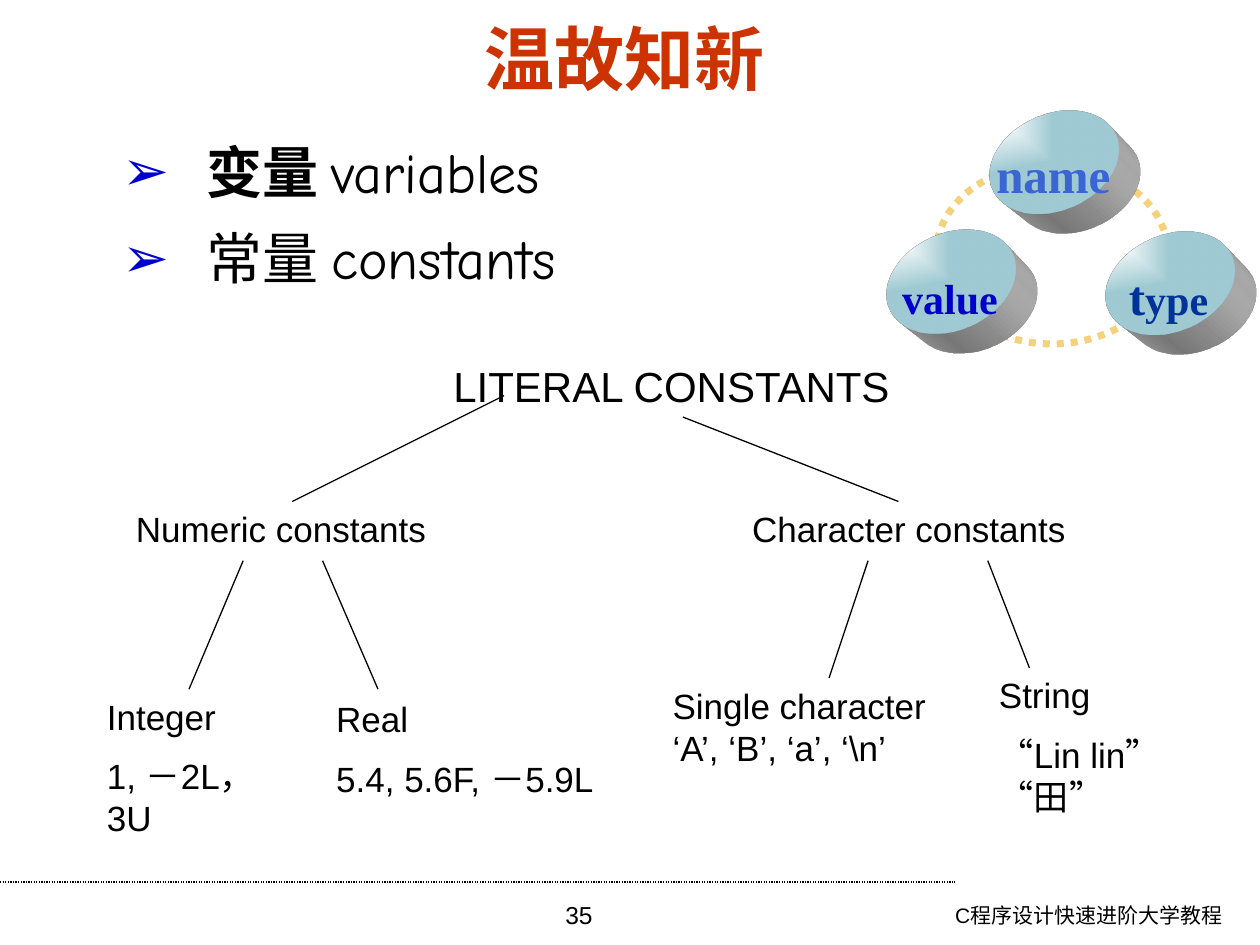
from lxml.etree import SubElement
from pptx import Presentation
from pptx.dml.color import RGBColor
from pptx.enum.dml import MSO_LINE
from pptx.enum.shapes import MSO_CONNECTOR, MSO_SHAPE
from pptx.enum.text import MSO_ANCHOR, PP_ALIGN
from pptx.oxml.ns import qn
from pptx.util import Inches, Pt

BLACK = RGBColor(0x00, 0x00, 0x00)
WHITE = RGBColor(0xFF, 0xFF, 0xFF)
TITLE_RED = RGBColor(0xCC, 0x33, 0x00)
BLUE = RGBColor(0x00, 0x00, 0xCC)
LIGHT_BLUE = RGBColor(0x3A, 0x65, 0xD3)
NAVY = RGBColor(0x00, 0x33, 0x99)
RING_YELLOW = RGBColor(0xF4, 0xD1, 0x7A)
DISC_TEAL = RGBColor(0x9F, 0xCA, 0xD3)
SIDE_GRAY = RGBColor(0xC0, 0xC0, 0xC0)


def place(shape, left, top, width, height):
    shape.left, shape.top = Inches(left), Inches(top)
    shape.width, shape.height = Inches(width), Inches(height)


def style_font(font, size, color=BLACK, bold=False, name="Arial"):
    font.size = Pt(size)
    font.color.rgb = color
    font.bold = bold
    font.name = name


def add_title(slide, text):
    title = slide.shapes.title
    place(title, 0.43, 0.21, 9.05, 0.5)
    title.text_frame.text = text
    title.text_frame.vertical_anchor = MSO_ANCHOR.MIDDLE
    paragraph = title.text_frame.paragraphs[0]
    paragraph.alignment = PP_ALIGN.CENTER
    style_font(paragraph.font, 40, TITLE_RED, bold=True)


def set_arrow_bullet(paragraph):
    properties = paragraph._p.get_or_add_pPr()
    properties.set("marL", str(Inches(0.67)))
    properties.set("indent", str(-Inches(0.67)))
    color = SubElement(properties, qn("a:buClr"))
    SubElement(color, qn("a:srgbClr"), val=str(BLUE))
    SubElement(properties, qn("a:buFont"), typeface="Arial")
    SubElement(properties, qn("a:buChar"), char="➢")


def add_bullets(slide, items):
    """Fill the body; each item is a list of (text, font name, bold) runs."""
    body = slide.placeholders[1]
    place(body, 0.87, 0.99, 4.52, 5.75)
    body.fill.solid()
    body.fill.fore_color.rgb = WHITE
    frame = body.text_frame
    for index, runs in enumerate(items):
        paragraph = frame.add_paragraph() if index else frame.paragraphs[0]
        paragraph.line_spacing = 1.1
        paragraph.space_before = Pt(7)
        set_arrow_bullet(paragraph)
        for text, name, bold in runs:
            run = paragraph.add_run()
            run.text = text
            style_font(run.font, 32, bold=bold, name=name)


def add_text(slide, box, lines, size, color=BLACK, alignment=PP_ALIGN.LEFT,
             bold=False, name="Arial", wrap=True):
    text_box = slide.shapes.add_textbox(*map(Inches, box))
    frame = text_box.text_frame
    frame.word_wrap = wrap
    frame.text = "\n".join(lines)
    for index, paragraph in enumerate(frame.paragraphs):
        paragraph.alignment = alignment
        paragraph.space_before = Pt(size / 2 if index else 0)
        style_font(paragraph.font, size, color, bold, name)
    return text_box


def add_line(slide, start, end, dash=None):
    line = slide.shapes.add_connector(
        MSO_CONNECTOR.STRAIGHT, *map(Inches, (*start, *end)))
    line.line.color.rgb = BLACK
    line.line.width = Pt(0.75)
    if dash:
        line.line.dash_style = dash
    SubElement(line._element.spPr, qn("a:effectLst"))


def fill_from_corner(shape, first, last):
    """Gradient that spreads from the top left corner."""
    shape.fill.gradient()
    for stop, color, position in zip(
            shape.fill.gradient_stops, (first, last), (0, 1)):
        stop.color.rgb = color
        stop.position = position
    gradient = shape._element.spPr.find(qn("a:gradFill"))
    gradient.remove(gradient.find(qn("a:lin")))
    corner = SubElement(gradient, qn("a:path"), path="rect")
    SubElement(corner, qn("a:fillToRect"), r="100000", b="100000")


def extrude(shape, depth, color):
    """Turn the shape in space and give it a solid side."""
    properties = shape._element.spPr
    scene = SubElement(properties, qn("a:scene3d"))
    camera = SubElement(scene, qn("a:camera"), prst="legacyPerspectiveFront")
    SubElement(camera, qn("a:rot"), lat="20100000", lon="1500000", rev="0")
    SubElement(scene, qn("a:lightRig"), rig="legacyFlat3", dir="b")
    solid = SubElement(properties, qn("a:sp3d"), extrusionH=str(depth),
                       prstMaterial="legacyMatte")
    side = SubElement(solid, qn("a:extrusionClr"))
    SubElement(side, qn("a:srgbClr"), val=str(color))


def add_oval(slide, box):
    oval = slide.shapes.add_shape(MSO_SHAPE.OVAL, *map(Inches, box))
    oval.shadow.inherit = False
    return oval


def add_disc(slide, left, top):
    disc = add_oval(slide, (left, top, 1.13, 0.88))
    fill_from_corner(disc, WHITE, DISC_TEAL)
    disc.line.fill.background()
    extrude(disc, Inches(0.45), SIDE_GRAY)


def add_variable_ring(slide):
    ring = add_oval(slide, (7.43, 1.3, 1.84, 1.43))
    ring.fill.background()
    ring.line.color.rgb = RING_YELLOW
    ring.line.width = Pt(4)
    ring.line.dash_style = MSO_LINE.ROUND_DOT
    discs = [
        ((7.79, 0.84), (7.69, 1.1, 1.34, 0.57), "name", 28, LIGHT_BLUE),
        ((6.97, 1.79), (7.06, 2.11, 0.96, 0.5), "value", 24, BLUE),
        ((8.71, 1.8), (8.86, 2.07, 0.83, 0.57), "type", 24, NAVY),
    ]
    for corner, box, text, size, color in discs:
        add_disc(slide, *corner)
        label = add_text(slide, box, [text], size, color, PP_ALIGN.CENTER,
                         bold=True, name="Times New Roman", wrap=False)
    # The last label, "type", starts with a larger letter.
    paragraph = label.text_frame.paragraphs[0]
    paragraph.runs[0].text = "t"
    paragraph.runs[0].font.size = Pt(28)
    paragraph.add_run().text = "ype"


def add_constants_tree(slide):
    add_text(slide, (3.5, 2.81, 4.5, 0.51), ["LITERAL CONSTANTS"], 24)
    nodes = [
        ((0.98, 3.98, 2.76, 0.43), ["Numeric constants"]),
        ((5.87, 3.98, 2.99, 0.43), ["Character constants"]),
        ((0.75, 5.47, 1.97, 0.94), ["Integer", "1, －2L，\v3U"]),
        ((2.57, 5.49, 2.43, 0.94), ["Real", "5.4, 5.6F, －5.9L"]),
        ((5.24, 5.38, 2.44, 0.77), ["Single character ‘A’, ‘B’, ‘a’, ‘\\n’"]),
        ((7.83, 5.3, 2.17, 0.94), ["String", "“Lin lin”\v“田”"]),
    ]
    for box, lines in nodes:
        add_text(slide, box, lines, 20)
    branches = [
        ((4, 3.14), (2.32, 3.98)), ((5.42, 3.31), (7.13, 3.98)),
        ((1.93, 4.45), (1.5, 5.47)), ((2.56, 4.45), (3, 5.47)),
        ((6.89, 4.45), (6.58, 5.38)), ((7.84, 4.45), (8.17, 5.3)),
    ]
    for start, end in branches:
        add_line(slide, start, end)


def add_footer(slide):
    add_line(slide, (0, 7), (7.58, 7), MSO_LINE.ROUND_DOT)
    add_text(slide, (6.57, 7.11, 3.23, 0.39), ["C程序设计快速进阶大学教程"], 12,
             alignment=PP_ALIGN.RIGHT)
    add_text(slide, (3.43, 7.09, 2.33, 0.41), ["35"], 14,
             alignment=PP_ALIGN.CENTER)


def main():
    presentation = Presentation()
    presentation.slide_width, presentation.slide_height = Inches(10), Inches(7.5)
    slide = presentation.slides.add_slide(presentation.slide_layouts[1])
    add_title(slide, "温故知新")
    add_bullets(slide, [
        [("变量 ", "Arial", True), ("variables", "Comic Neue", False)],
        [("常量 constants", "Comic Neue", False)],
    ])
    add_footer(slide)
    add_variable_ring(slide)
    add_constants_tree(slide)
    presentation.save("out.pptx")


if __name__ == "__main__":
    main()
